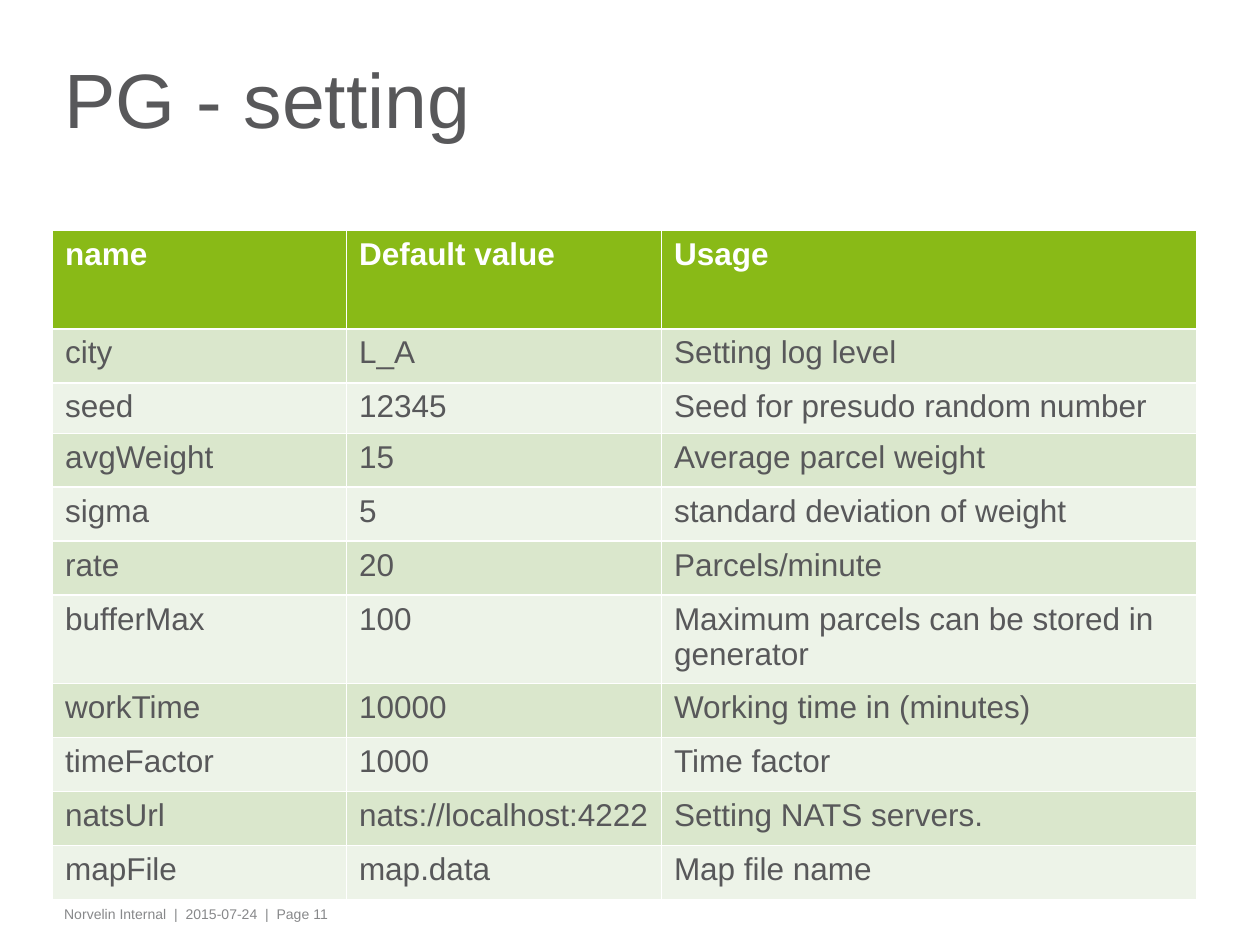
from dataclasses import dataclass

from pptx import Presentation
from pptx import util as u
from pptx.dml.color import RGBColor
from pptx.enum import text


@dataclass(frozen=True)
class Theme:
    font: str = "Arial"
    ink: str = "58585A"
    muted: str = "87888A"
    white: str = "FFFFFF"
    header: str = "89BA17"
    bands: tuple = ("DAE7CC", "EDF3E8")
    title_size: int = 44
    table_size: int = 18
    footer_size: int = 8


theme = Theme()
deck = Presentation()
deck.slide_width, deck.slide_height = u.Inches(10), u.Inches(7.5)
column = deck.slide_width / 24
row = deck.slide_height / 17.5
slide = deck.slides.add_slide(deck.slide_layouts[6])


def style(paragraph, size, color, bold=False):
    paragraph.font.name = theme.font
    paragraph.font.size = u.Pt(size)
    paragraph.font.bold = bold
    paragraph.font.color.rgb = RGBColor.from_string(color)


def add_line(words, top, width, height, inset, size, color):
    box = slide.shapes.add_textbox(
        int(1.03 * column), int(top * row), int(width * column), int(height * row))
    frame = box.text_frame
    frame.word_wrap = True
    frame.margin_left = frame.margin_right = u.Inches(0.08)
    frame.margin_top = frame.margin_bottom = u.Inches(inset)
    frame.text = words
    style(frame.paragraphs[0], size, color)
    return frame


add_line("Norvelin Internal  |  2015-07-24  |  Page 11",
         16.66, 19.42, 0.56, 0.05, theme.footer_size, theme.muted)
title = add_line("PG - setting", 0.61, 21.17, 2.78, 0, theme.title_size, theme.ink)
title.vertical_anchor = text.MSO_ANCHOR.MIDDLE
title.paragraphs[0].line_spacing = 0.75

settings = [
    ("name", "Default value", "Usage"),
    ("city", "L_A", "Setting log level"),
    ("seed", "12345", "Seed for presudo random number"),
    ("avgWeight", "15", "Average parcel weight"),
    ("sigma", "5", "standard deviation of weight"),
    ("rate", "20", "Parcels/minute"),
    ("bufferMax", "100", "Maximum parcels can be stored in generator"),
    ("workTime", "10000", "Working time in (minutes)"),
    ("timeFactor", "1000", "Time factor"),
    ("natsUrl", "nats://localhost:4222", "Setting NATS servers."),
    ("mapFile", "map.data", "Map file name"),
]
widths = [5.6, 6, 10.2]
heights = [1.82, 1, 0.86] + [1] * 8

grid = slide.shapes.add_table(
    len(settings), len(widths), int(column), int(4.27 * row),
    int(sum(widths) * column), int(sum(heights) * row)).table
for grid_column, width in zip(grid.columns, widths):
    grid_column.width = int(width * column)

for index, (setting, height) in enumerate(zip(settings, heights)):
    grid.rows[index].height = int(height * row)
    heading = index == 0
    fill = theme.header if heading else theme.bands[(index - 1) % 2]
    color = theme.white if heading else theme.ink
    for position, words in enumerate(setting):
        cell = grid.cell(index, position)
        cell.text = words
        cell.fill.solid()
        cell.fill.fore_color.rgb = RGBColor.from_string(fill)
        style(cell.text_frame.paragraphs[0], theme.table_size, color, heading)

deck.save("out.pptx")
